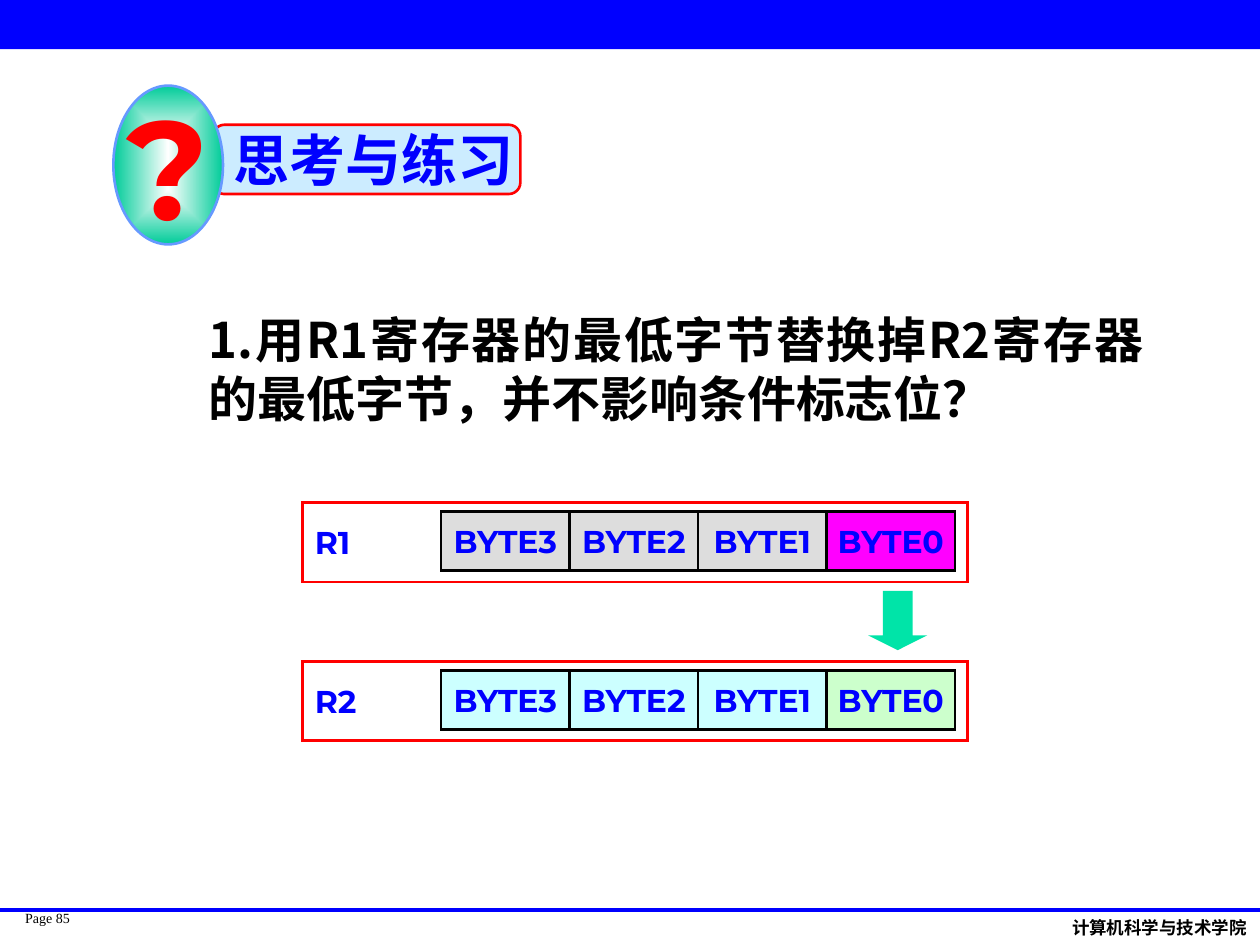
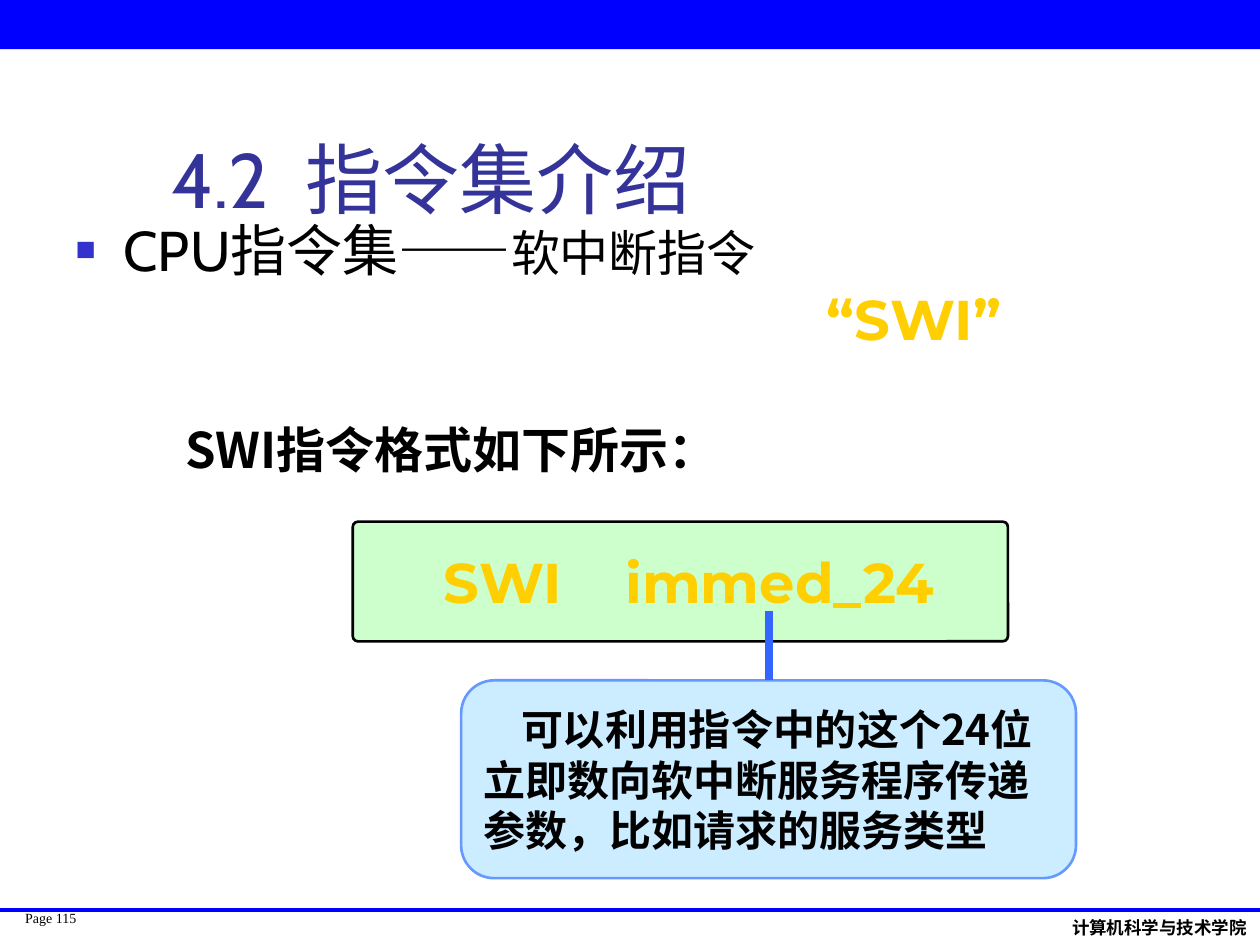
from dataclasses import dataclass

from lxml import etree
from pptx import Presentation
from pptx import util as u
from pptx.dml.color import RGBColor
from pptx.enum import shapes, text
from pptx.oxml import ns

SHAPE = shapes.MSO_SHAPE
ALIGN = text.PP_ALIGN
ANCHOR = text.MSO_ANCHOR


@dataclass(frozen=True)
class Theme:
    # Colours
    blue: str = "0000FF"
    red: str = "FF0000"
    black: str = "000000"
    white: str = "FFFFFF"
    title: str = "333399"
    bullet: str = "3333CC"
    gold: str = "FFCF01"
    pale_blue: str = "CCECFF"
    pale_green: str = "CCFFCC"
    grey: str = "DDDDDD"
    cyan: str = "CCFFFF"
    magenta: str = "FF00FF"
    arrow: str = "00E4A8"
    teal: str = "00CC99"
    outline: str = "6699FF"
    pointer: str = "3366FF"
    # Fonts
    sans: str = "Cabin"
    display: str = "Montserrat"
    serif: str = "Times New Roman"
    han_jp: str = "Noto Sans CJK JP"
    han_sc: str = "Noto Sans CJK SC"
    # Type sizes
    page_size: int = 8
    footer_size: int = 10
    label_size: int = 18
    note_size: int = 24
    text_size: int = 28
    head_size: int = 32
    title_size: int = 44
    mark_size: int = 80


THEME = Theme()


def rgb(value):
    return RGBColor.from_string(value)


def place(shape, left, top, width, height):
    shape.left, shape.top = u.Inches(left), u.Inches(top)
    shape.width, shape.height = u.Inches(width), u.Inches(height)


def add_child(parent, tag, **attributes):
    child = etree.SubElement(parent, ns.qn(tag))
    for name, value in attributes.items():
        child.set(name, str(value))
    return child


def add_span(para, words, font, size, color, bold, han=THEME.sans, spacing=0):
    span = para.add_run()
    span.text = words
    span.font.name = font
    span.font.size = u.Pt(size)
    span.font.bold = bold
    span.font.color.rgb = rgb(color)
    props = span._r.get_or_add_rPr()
    props.set("lang", "zh-CN")
    if spacing:
        props.set("spc", str(spacing * 100))
    add_child(props, "a:ea", typeface=han)


def write(box, spans, font=THEME.sans, size=THEME.label_size, color=THEME.black,
          bold=False, align=ALIGN.LEFT, anchor=ANCHOR.TOP, wrap=True,
          insets=(0.1, 0.05, 0.1, 0.05), first_indent=0, hanging=0, bullet=None):
    """Write one paragraph; spans is a string or a list of (string, changes)."""
    frame = box.text_frame
    frame.auto_size = text.MSO_AUTO_SIZE.NONE
    frame.word_wrap = wrap
    frame.vertical_anchor = anchor
    (frame.margin_left, frame.margin_top,
     frame.margin_right, frame.margin_bottom) = map(u.Inches, insets)
    para = frame.paragraphs[0]
    para.alignment = align
    props = para._p.get_or_add_pPr()
    props.set("marL", str(u.Inches(hanging)))
    props.set("indent", str(u.Inches(first_indent - hanging)))
    if bullet:
        add_child(add_child(props, "a:buClr"), "a:srgbClr", val=THEME.bullet)
        add_child(props, "a:buSzPct", val=60000)
        add_child(props, "a:buChar", char=bullet)
    base = dict(font=font, size=size, color=color, bold=bold)
    for words, changes in [(spans, {})] if isinstance(spans, str) else spans:
        add_span(para, words, **{**base, **changes})


def add_text(page, area, spans, **style):
    box = page.shapes.add_textbox(*map(u.Inches, area))
    write(box, spans, **style)
    return box


def add_box(page, kind, area, fill, line=None, adjust=()):
    box = page.shapes.add_shape(kind, *map(u.Inches, area))
    box.shadow.inherit = False
    box.fill.solid()
    box.fill.fore_color.rgb = rgb(fill)
    for index, value in enumerate(adjust):
        box.adjustments[index] = value
    if line:
        box.line.color.rgb = rgb(line)
        box.line.width = u.Pt(1.5)
        add_child(box.line._get_or_add_ln(), "a:miter", lim=800000)
    else:
        box.line.fill.background()
    return box


def add_line(page, start, end, color, weight):
    line = page.shapes.add_connector(
        shapes.MSO_CONNECTOR.STRAIGHT, *map(u.Inches, (*start, *end)))
    line.line.color.rgb = rgb(color)
    line.line.width = u.Pt(weight)
    add_child(line._element.spPr, "a:effectLst")
    return line


def glow_from_centre(shape, inner, outer):
    """Fill a shape with a gradient that runs from its centre outwards."""
    shape.fill.gradient()
    for stop, color in zip(shape.fill.gradient_stops, (inner, outer)):
        stop.color.rgb = rgb(color)
    gradient = shape._element.spPr.find(ns.qn("a:gradFill"))
    gradient.remove(gradient.find(ns.qn("a:lin")))
    centre = add_child(gradient, "a:path", path="rect")
    add_child(centre, "a:fillToRect", l=50000, t=50000, r=50000, b=50000)


def add_page(deck, layout, number):
    """Add a slide with the shared top band and footer."""
    page = deck.slides.add_slide(deck.slide_layouts[layout])
    add_text(page, (0.2, 7.22, 0.51, 0.27), f"Page {number}", font=THEME.serif,
             size=THEME.page_size, wrap=False, insets=(0, 0, 0, 0))
    add_text(page, (8.41, 7.23, 1.59, 0.27), "计算机科学与技术学院",
             size=THEME.footer_size, bold=True, wrap=False)
    add_box(page, SHAPE.RECTANGLE, (0, 0, 10, 0.39), THEME.blue)
    add_line(page, (0, 7.22), (10, 7.22), THEME.blue, 2.25)
    return page


def add_register(page, name, top, fill, low_fill):
    """Draw a register frame with its four bytes."""
    style = dict(font=THEME.display, color=THEME.blue, bold=True,
                 anchor=ANCHOR.MIDDLE, wrap=False)
    frame = add_box(page, SHAPE.RECTANGLE, (2.4, top, 5.28, 0.63),
                    THEME.white, THEME.red)
    write(frame, name, **style)
    byte_width = 1.02
    for column, number in enumerate((3, 2, 1, 0)):
        byte = add_box(page, SHAPE.RECTANGLE,
                       (3.5 + column * byte_width, top + 0.07, byte_width, 0.47),
                       fill if number else low_fill, THEME.black)
        write(byte, f"BYTE{number}", align=ALIGN.CENTER, **style)


def build_exercise(deck):
    page = add_page(deck, 6, 85)

    # Heading badge
    heading = add_box(page, SHAPE.ROUNDED_RECTANGLE, (1.69, 0.99, 2.44, 0.55),
                      THEME.pale_blue, THEME.red, [0.167])
    write(heading, "思考与练习", font=THEME.serif, size=THEME.head_size,
          color=THEME.blue, bold=True, align=ALIGN.CENTER, anchor=ANCHOR.MIDDLE,
          wrap=False, insets=(0.21, 0.05, 0.1, 0.05))
    badge = add_box(page, SHAPE.OVAL, (0.9, 0.68, 0.87, 1.26),
                    THEME.teal, THEME.outline)
    glow_from_centre(badge, THEME.white, THEME.teal)
    write(badge, "?", font=THEME.display, size=THEME.mark_size, color=THEME.red,
          bold=True, align=ALIGN.CENTER, anchor=ANCHOR.MIDDLE, wrap=False)

    # Question
    add_text(page, (1.56, 2.41, 7.61, 1.04),
             "1.用R1寄存器的最低字节替换掉R2寄存器的最低字节，并不影响条件标志位？",
             font=THEME.han_jp, size=THEME.text_size, bold=True,
             align=ALIGN.JUSTIFY)

    # Registers
    add_register(page, "R1", 3.99, THEME.grey, THEME.magenta)
    add_register(page, "R2", 5.25, THEME.cyan, THEME.pale_green)
    add_box(page, SHAPE.DOWN_ARROW, (6.89, 4.69, 0.47, 0.47), THEME.arrow,
            adjust=[0.5, 0.25])


def build_interrupt(deck):
    page = add_page(deck, 1, 115)

    # Title and topic
    title, topic = page.placeholders
    place(title, 1.26, 0.23, 8.52, 1.6)
    write(title, [("4.2", {}), (" ", dict(spacing=11)), ("指令集介绍", {})],
          size=THEME.title_size, color=THEME.title, anchor=ANCHOR.BOTTOM)
    place(topic, 0.5, 1.71, 9, 0.86)
    write(topic, [("CPU指令集", {}), ("——", dict(han=THEME.han_sc)),
                  ("软中断指令", dict(size=THEME.text_size))],
          size=THEME.head_size, insets=(0.1, 0, 0.1, 0.05),
          hanging=0.38, bullet="■")
    keyword = dict(font=THEME.display, size=THEME.head_size, color=THEME.gold,
                   bold=True)
    add_text(page, (6.46, 2.21, 1.93, 0.75), "“SWI”", **keyword)

    # Instruction format
    add_text(page, (0.67, 3.28, 8.52, 0.57), "SWI指令格式如下所示：",
             font=THEME.han_jp, size=THEME.text_size, bold=True,
             align=ALIGN.JUSTIFY, insets=(0.8, 0.05, 0.1, 0.05))
    add_box(page, SHAPE.ROUNDED_RECTANGLE, (2.8, 4.14, 5.2, 0.95),
            THEME.pale_green, THEME.black, [0.044])
    add_text(page, (3.11, 4.3, 4.72, 0.64),
             [("SWI", {}), (" ", dict(spacing=27)), ("immed_24", {})],
             align=ALIGN.CENTER, **keyword)

    # Explanation of the operand
    note = add_box(page, SHAPE.ROUNDED_RECTANGLE, (3.66, 5.4, 4.88, 1.57),
                   THEME.pale_blue, THEME.outline, [0.167])
    write(note, "可以利用指令中的这个24位立即数向软中断服务程序传递参数，比如请求的服务类型",
          font=THEME.han_sc, size=THEME.note_size, bold=True,
          anchor=ANCHOR.MIDDLE, first_indent=0.3)
    pointer = add_line(page, (6.1, 4.85), (6.1, 5.4), THEME.pointer, 4.5)
    pointer.end_connect(note, 0)


def main():
    deck = Presentation()
    deck.slide_width, deck.slide_height = u.Inches(10), u.Inches(7.5)
    build_exercise(deck)
    build_interrupt(deck)
    deck.save("out.pptx")


if __name__ == "__main__":
    main()
